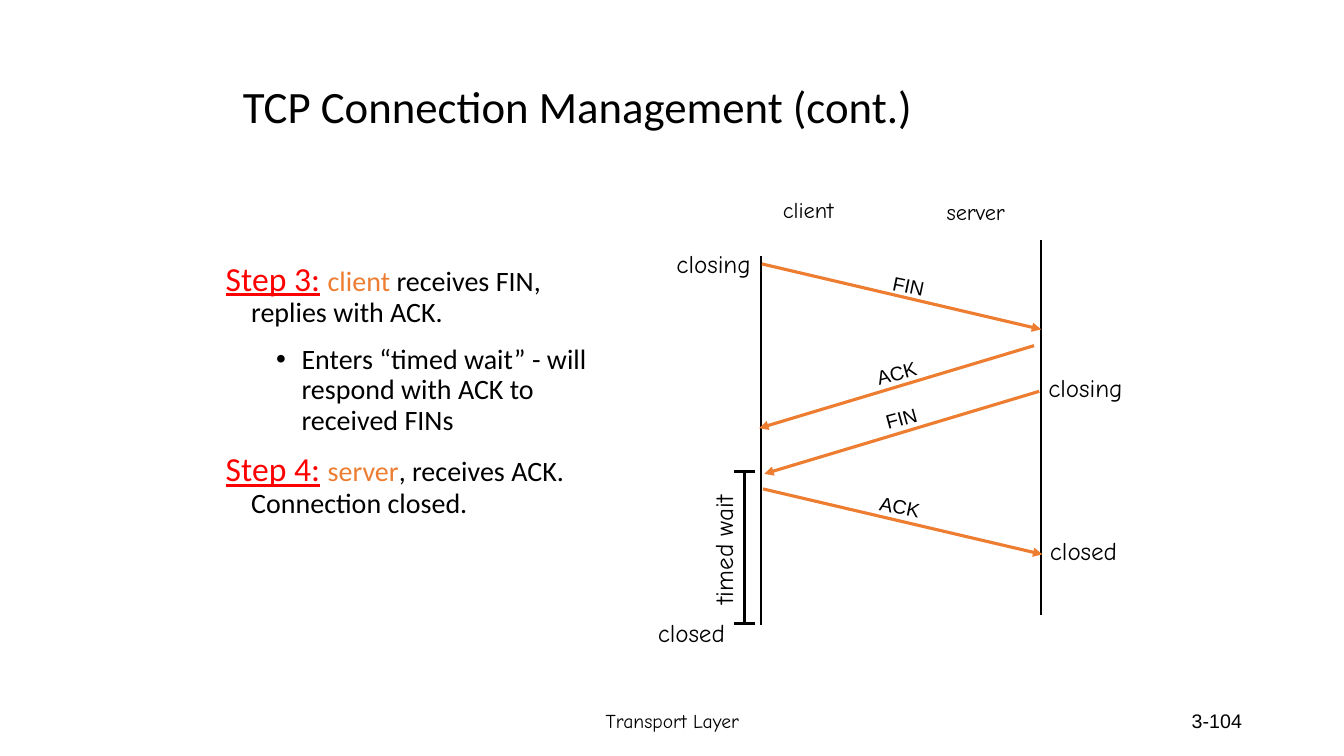
from dataclasses import dataclass

from pptx import Presentation
from pptx import util as u
from pptx.dml.color import RGBColor
from pptx.enum import shapes, text
from pptx.oxml.ns import qn
from lxml import etree


@dataclass(frozen=True)
class Theme:
    """Colours, fonts and type sizes of the slide."""
    ink: str = "000000"
    accent: str = "ED7D31"
    step: str = "FF0000"
    main: str = "Calibri"
    hand: str = "Comic Neue"
    plain: str = "Arial"
    title: int = 32
    heading: int = 24
    body: int = 20
    state: int = 18
    host: int = 16
    small: int = 14
    thin: float = 1.5
    thick: float = 2.25


class SequenceSlide:
    """Draws text and lines on one slide in one theme."""

    def __init__(self, deck, theme):
        """Add a blank slide to the deck."""
        self.theme = theme
        self.shapes = deck.slides.add_slide(deck.slide_layouts[6]).shapes

    def frame(self, left, top, width, height, wrap=True, turn=0):
        """Add a text box and return its text frame."""
        box = self.shapes.add_textbox(*map(u.Cm, (left, top, width, height)))
        box.rotation = turn
        box.text_frame.word_wrap = wrap
        return box.text_frame

    def run(self, paragraph, words, size, font, color, underline=False):
        """Add one styled run to a paragraph."""
        run = paragraph.add_run()
        run.text = words
        run.font.size = u.Pt(size)
        run.font.name = font
        run.font.color.rgb = RGBColor.from_string(color)
        if underline:
            run.font.underline = True

    def line_of_text(self, words, place, size, font, align, wrap=True, turn=0):
        """Add a single vertically centred line of text."""
        frame = self.frame(*place, wrap=wrap, turn=turn)
        frame.vertical_anchor = text.MSO_ANCHOR.MIDDLE
        paragraph = frame.paragraphs[0]
        paragraph.alignment = align
        self.run(paragraph, words, size, font, self.theme.ink)

    def label(self, words, left, top, width, size, font, turn=0):
        """Add a centred diagram label whose height follows its type size."""
        height = round(size * 0.0455 + 0.21, 2)
        self.line_of_text(words, (left, top, width, height), size, font,
                          text.PP_ALIGN.CENTER, wrap=False, turn=turn)

    def steps(self, place, paragraphs):
        """Add the step list, each paragraph as (bullet, runs)."""
        frame = self.frame(*place)
        for index, (bullet, runs) in enumerate(paragraphs):
            paragraph = frame.add_paragraph() if index else frame.paragraphs[0]
            props = paragraph._p.get_or_add_pPr()
            props.set("marL", str(u.Cm(1.91 if bullet else 0.64)))
            props.set("indent", str(u.Cm(-0.64)))
            if bullet:
                props.set("lvl", "1")
                etree.SubElement(props, qn("a:buFont")).set("typeface", self.theme.plain)
                etree.SubElement(props, qn("a:buChar")).set("char", "•")
            paragraph.line_spacing = 0.9
            if index:
                paragraph.space_before = u.Pt(12)
            for words, size, color, underline in runs:
                self.run(paragraph, words, size, self.theme.main, color, underline)

    def line(self, x1, y1, x2, y2, color, weight, arrow=False):
        """Add a straight line, with an arrowhead at its end if asked."""
        line = self.shapes.add_connector(
            shapes.MSO_CONNECTOR.STRAIGHT, *map(u.Cm, (x1, y1, x2, y2)))
        line.line.color.rgb = RGBColor.from_string(color)
        line.line.width = u.Pt(weight)
        if arrow:
            etree.SubElement(line.line._get_or_add_ln(), qn("a:tailEnd")).set("type", "triangle")
        etree.SubElement(line._element.spPr, qn("a:effectLst"))


def main():
    """Build the slide and save it."""
    theme = Theme()
    deck = Presentation()
    deck.slide_width, deck.slide_height = u.Cm(33.87), u.Cm(19.05)
    slide = SequenceSlide(deck, theme)
    align = text.PP_ALIGN

    slide.line_of_text("Transport Layer", (11.23, 17.65, 11.43, 1.02),
                       theme.small, theme.hand, align.CENTER)
    slide.line_of_text("3-104", (23.93, 17.65, 7.62, 1.02),
                       theme.small, theme.plain, align.RIGHT)
    slide.line_of_text("TCP Connection Management (cont.)", (5.87, 1.42, 21.59, 2.49),
                       theme.title, theme.main, align.LEFT)

    def step(name, host, action):
        return False, [
            (name, theme.heading, theme.step, True),
            (" ", theme.heading, theme.ink, False),
            (host, theme.body, theme.accent, False),
            (action, theme.body, theme.ink, False),
        ]

    timed_wait = "Enters “timed wait” - will respond with ACK to received FINs"
    slide.steps((5.44, 6.48, 10.44, 9.6), [
        step("Step 3:", "client", " receives FIN, replies with ACK."),
        (True, [(timed_wait, theme.body, theme.ink, False)]),
        step("Step 4:", "server", ", receives ACK. Connection closed."),
    ])

    client_x, server_x = 19.18, 26.24
    slide.line(client_x, 6.45, client_x, 15.75, theme.ink, theme.thin)
    slide.line(server_x, 6.05, server_x, 15.49, theme.ink, theme.thin)

    to_server, to_client = (7.04, 1.65, 11.8), (-6.93, 2.08, 344.6)
    messages = [
        ("FIN", 19.2, 6.65, to_server, (22.25, 6.78, 1.3)),
        ("ACK", 26.06, 8.71, to_client, (18.8, 8.97, 7.59)),
        ("FIN", 26.19, 9.86, to_client, (18.92, 10.11, 7.59)),
        ("ACK", 19.23, 12.32, to_server, (21.92, 12.34, 1.52)),
    ]
    for name, x, y, (across, down, turn), spot in messages:
        slide.line(x, y, x + across, y + down, theme.accent, theme.thick, arrow=True)
        slide.label(name, *spot, theme.small, theme.plain, turn)

    wait_x, wait_start, wait_end = 18.77, 11.89, 15.72
    slide.line(wait_x, wait_start, wait_x, wait_end, theme.ink, theme.thick)
    for y in (wait_start, wait_end):
        slide.line(wait_x - 0.27, y, wait_x + 0.25, y, theme.ink, theme.thick)
    slide.label("timed wait", 16.41, 13.34, 3.63, theme.state, theme.hand, 270)

    for host, left, top, width in (("client", 19.38, 4.8, 1.98),
                                   ("server", 23.47, 4.85, 2.24)):
        slide.label(host, left, top, width, theme.host, theme.hand)
    for state, left, top, width in (("closing", 16.74, 6.12, 2.49),
                                    ("closing", 26.11, 9.25, 2.49),
                                    ("closed", 16.23, 15.42, 2.39),
                                    ("closed", 26.11, 13.36, 2.39)):
        slide.label(state, left, top, width, theme.state, theme.hand)

    deck.save("out.pptx")


if __name__ == "__main__":
    main()
